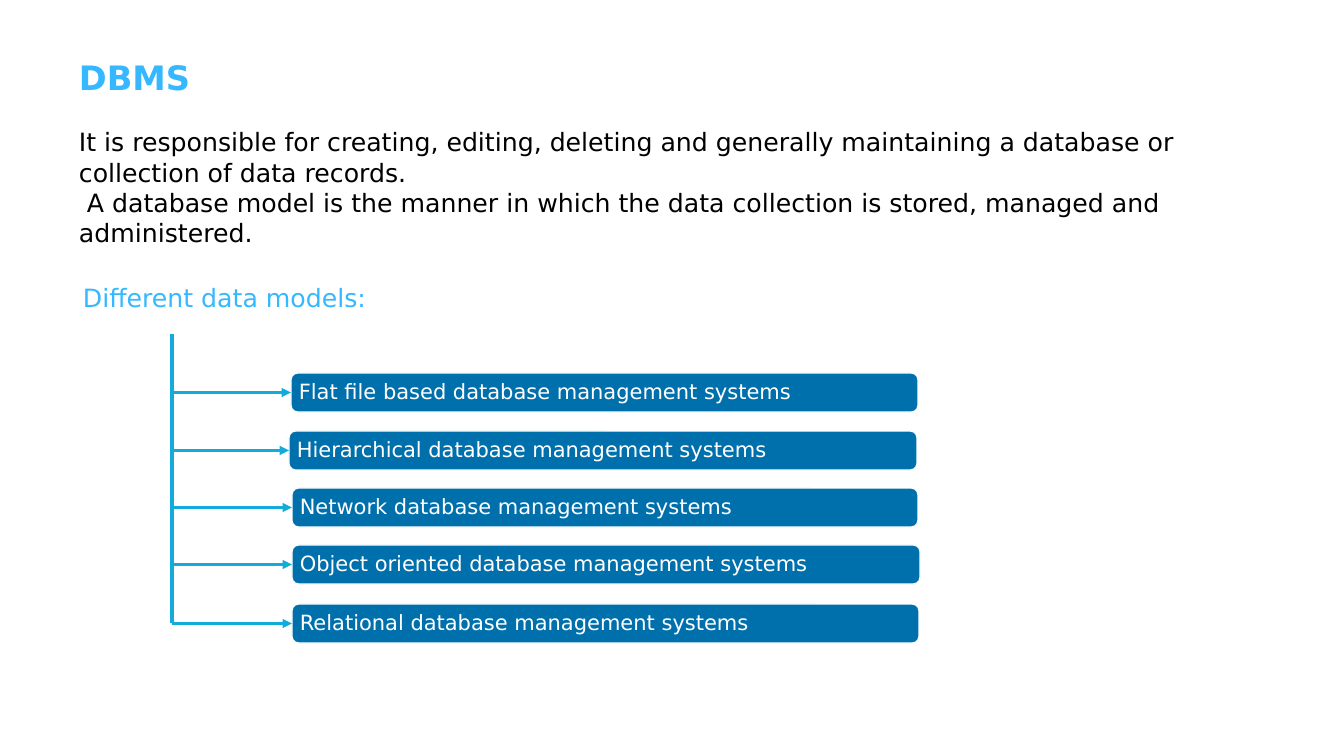
from dataclasses import dataclass
from itertools import pairwise

from lxml import etree
from pptx import Presentation
from pptx import util as u
from pptx.dml.color import RGBColor
from pptx.enum import shapes, text
from pptx.oxml.ns import qn

FONT = "DejaVu Sans"
SKY, NAVY, CYAN = "35B8FF", "0070AD", "12ABDB"
BLACK, WHITE = "000000", "FFFFFF"
TRUNK_X, TRUNK_TOP = 172, 334
MODEL_HEIGHT = 39


@dataclass(frozen=True)
class Line:
    words: str
    size: int
    color: str
    bold: bool = False
    before: int = 0
    indent: int = 0
    spacing: float = 1.0


@dataclass(frozen=True)
class Model:
    name: str
    left: int
    top: int
    width: int


HEADING = [
    Line("DBMS", 24, SKY, bold=True),
    Line("It is responsible for creating, editing, deleting and generally "
         "maintaining a database or collection of data records.", 18, BLACK, before=21),
    Line("A database model is the manner in which the data collection is "
         "stored, managed and administered.", 18, BLACK, indent=8),
]
SUBHEADING = [Line("Different data models:", 18, SKY)]
MODELS = [
    Model("Flat file based database management systems", 291, 373, 627),
    Model("Hierarchical database management systems", 289, 431, 628),
    Model("Network database management systems", 292, 488, 626),
    Model("Object oriented database management systems", 292, 545, 628),
    Model("Relational database management systems", 292, 604, 627),
]


def px(length: int) -> u.Emu:
    return u.Emu(round(length * 914400 / 100.8))


def rgb(color: str) -> RGBColor:
    return RGBColor.from_string(color)


def apply(target, values: dict) -> None:
    for name, value in values.items():
        setattr(target, name, value)


def write(frame, lines: list[Line], **frame_format) -> None:
    apply(frame, {"word_wrap": True, **frame_format})
    for number, line in enumerate(lines):
        para = frame.add_paragraph() if number else frame.paragraphs[0]
        apply(para, {"alignment": text.PP_ALIGN.LEFT, "line_spacing": line.spacing})
        if line.before:
            para.space_before = u.Pt(line.before)
        if line.indent:
            para._p.get_or_add_pPr().set("indent", str(px(line.indent)))
        span = para.add_run()
        span.text = line.words
        apply(span.font, {"name": FONT, "size": u.Pt(line.size), "bold": line.bold})
        span.font.color.rgb = rgb(line.color)


def add_text(page, left: int, top: int, width: int, height: int, lines: list[Line]) -> None:
    box = page.shapes.add_textbox(px(left), px(top), px(width), px(height))
    write(box.text_frame, lines, auto_size=text.MSO_AUTO_SIZE.SHAPE_TO_FIT_TEXT)


def add_model(page, model: Model):
    box = page.shapes.add_shape(
        shapes.MSO_SHAPE.ROUNDED_RECTANGLE,
        px(model.left), px(model.top), px(model.width), px(MODEL_HEIGHT))
    box.shadow.inherit = False
    box.fill.solid()
    box.fill.fore_color.rgb = rgb(NAVY)
    box.line.color.rgb = rgb(WHITE)
    box.line.width = u.Pt(1)
    sides = ("left", "top", "right", "bottom")
    write(box.text_frame, [Line(model.name, 15, WHITE, spacing=0.9)],
          vertical_anchor=text.MSO_ANCHOR.MIDDLE,
          **{f"margin_{side}": px(6) for side in sides})
    return box


def add_line(page, x1: int, y1: int, x2: int, y2: int):
    line = page.shapes.add_connector(
        shapes.MSO_CONNECTOR.STRAIGHT, px(x1), px(y1), px(x2), px(y2))
    line.line.color.rgb = rgb(CYAN)
    line.line.width = u.Pt(2.25)
    etree.SubElement(line._element.spPr, qn("a:effectLst"))
    return line


def add_arrow(page, y: int, box) -> None:
    arrow = add_line(page, TRUNK_X, y, TRUNK_X + 1, y)
    arrow.end_connect(box, 1)
    arrow.begin_y = arrow.end_y
    etree.SubElement(arrow.line._get_or_add_ln(), qn("a:tailEnd"), type="triangle")


def main() -> None:
    deck = Presentation()
    apply(deck, {"slide_width": px(1344), "slide_height": px(756)})
    page = deck.slides.add_slide(deck.slide_layouts[6])

    # Heading and introduction
    add_text(page, 69, 52, 1174, 204, HEADING)
    add_text(page, 73, 277, 588, 40, SUBHEADING)

    # Data models, each with its arrow
    middles = [model.top + MODEL_HEIGHT // 2 for model in MODELS]
    for model, middle in zip(MODELS, middles):
        add_arrow(page, middle, add_model(page, model))

    # Trunk, one segment between neighbouring arrows
    for upper, lower in pairwise([TRUNK_TOP, *middles]):
        add_line(page, TRUNK_X, upper, TRUNK_X, lower)

    deck.save("out.pptx")


if __name__ == "__main__":
    main()
